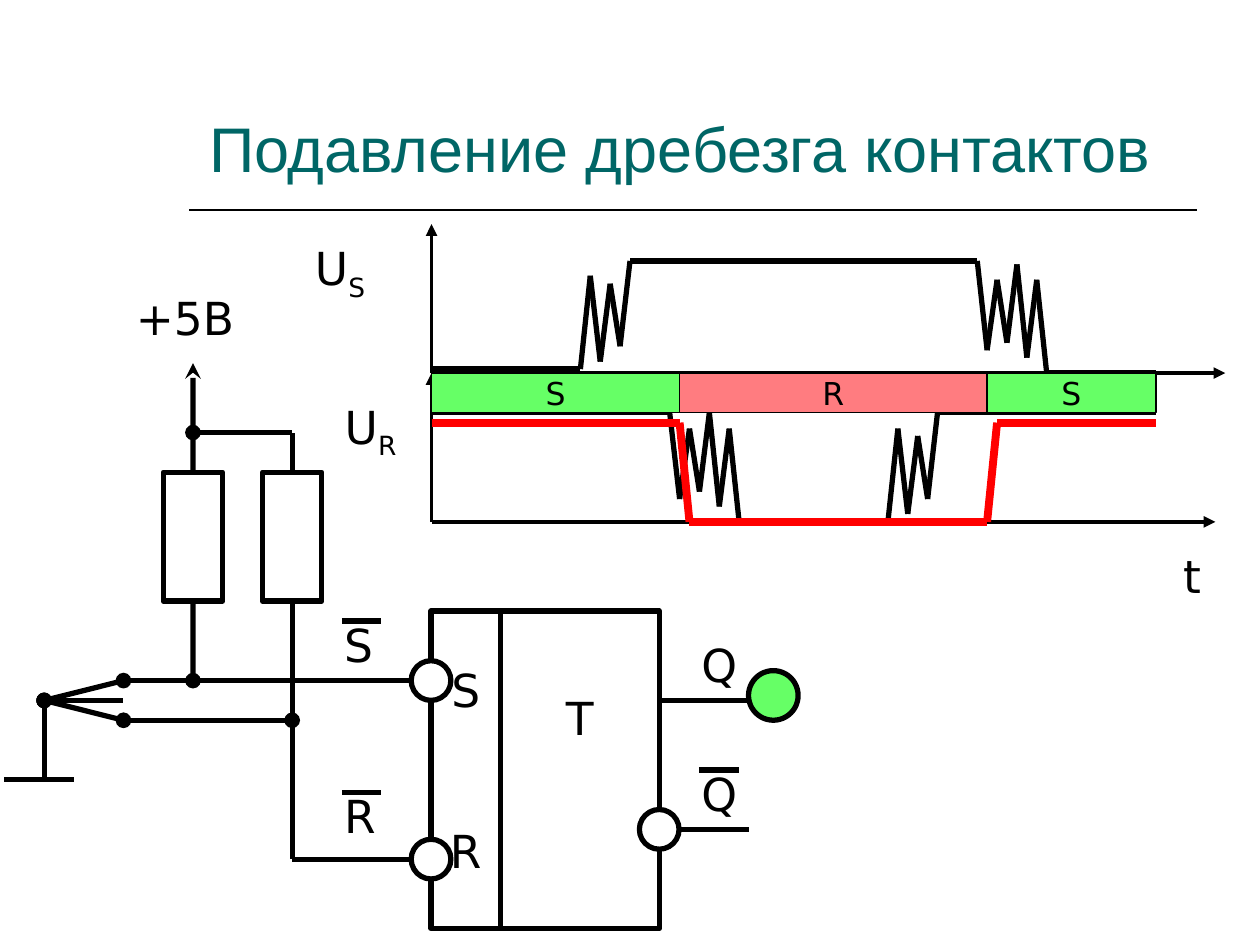
from dataclasses import dataclass
from itertools import pairwise

from lxml.etree import SubElement
from pptx import Presentation
from pptx.dml.color import RGBColor
from pptx.enum.shapes import MSO_CONNECTOR, MSO_SHAPE
from pptx.enum.text import MSO_ANCHOR, PP_ALIGN
from pptx.oxml.ns import qn
from pptx.util import Cm, Pt


@dataclass(frozen=True)
class Theme:
    ink: RGBColor = RGBColor(0x00, 0x00, 0x00)
    paper: RGBColor = RGBColor(0xFF, 0xFF, 0xFF)
    title: RGBColor = RGBColor(0x00, 0x66, 0x66)
    set_state: RGBColor = RGBColor(0x66, 0xFF, 0x66)
    reset_state: RGBColor = RGBColor(0xFF, 0x7C, 0x80)
    output: RGBColor = RGBColor(0xFF, 0x00, 0x00)
    title_font: str = "Arial"
    label_font: str = "DejaVu Sans"
    title_size: float = 36
    label_size: float = 26
    band_size: float = 18
    thin: float = 1
    axis: float = 2.25
    wire: float = 3
    bold: float = 4.5


@dataclass(frozen=True)
class Box:
    left: float
    top: float
    width: float
    height: float

    def point(self, x, y):
        return Cm(self.left + x), Cm(self.top + y)


THEME = Theme()


def style_text(para, size, font=THEME.label_font, colour=THEME.ink):
    para.font.size = Pt(size)
    para.font.name = font
    para.font.color.rgb = colour


def draw_line(page, box, start, end, weight=THEME.wire, colour=THEME.ink, head=None, tail=None):
    line = page.shapes.add_connector(
        MSO_CONNECTOR.STRAIGHT, *box.point(*start), *box.point(*end))
    line.line.color.rgb = colour
    line.line.width = Pt(weight)
    properties = line._element.spPr
    outline = properties.find(qn("a:ln"))
    for tag, kind in (("a:headEnd", head), ("a:tailEnd", tail)):
        if kind:
            SubElement(outline, qn(tag), type=kind)
    SubElement(properties, qn("a:effectLst"))
    return line


def draw_trace(page, box, points, **style):
    for start, end in pairwise(points):
        draw_line(page, box, start, end, **style)


def draw_shape(page, box, kind, left, top, width, height, fill=THEME.paper, weight=THEME.wire):
    shape = page.shapes.add_shape(kind, *box.point(left, top), Cm(width), Cm(height))
    shape.shadow.inherit = False
    shape.fill.solid()
    shape.fill.fore_color.rgb = fill
    shape.line.color.rgb = THEME.ink
    shape.line.width = Pt(weight)
    return shape


def draw_circle(page, box, x, y, diameter, fill=THEME.paper):
    radius = diameter / 2
    draw_shape(page, box, MSO_SHAPE.OVAL, x - radius, y - radius, diameter, diameter, fill)


def write_centred(shape, lines, size, gap=0):
    frame = shape.text_frame
    frame.word_wrap = False
    frame.vertical_anchor = MSO_ANCHOR.MIDDLE
    for index, text in enumerate(lines):
        para = frame.add_paragraph() if index else frame.paragraphs[0]
        para.text = text
        para.alignment = PP_ALIGN.CENTER
        if index:
            para.space_before = Pt(gap)
        style_text(para, size)


def draw_label(page, box, x, y, text, subscript="", overbar=False, width=1.8):
    frame = page.shapes.add_textbox(*box.point(x, y), Cm(width), Cm(1.36)).text_frame
    frame.word_wrap = True
    para = frame.paragraphs[0]
    para.text = text
    style_text(para, THEME.label_size)
    if subscript:
        span = para.add_run()
        span.text = subscript
        span._r.get_or_add_rPr().set("baseline", "-25000")
    if overbar:
        draw_line(page, box, (x + 0.2, y + 0.2), (x + 1, y + 0.2))


def draw_title(page, box, text):
    title = page.shapes.title
    title.left, title.top = box.point(0.15, 0)
    title.width, title.height = Cm(box.width - 0.3), Cm(2.87)
    frame = title.text_frame
    frame.word_wrap = True
    frame.vertical_anchor = MSO_ANCHOR.BOTTOM
    para = frame.paragraphs[0]
    para.text = text
    para.alignment = PP_ALIGN.LEFT
    style_text(para, THEME.title_size, THEME.title_font, THEME.title)
    draw_line(page, box, (0, box.height), (box.width, box.height), THEME.thin)


def draw_circuit(page, box):
    left_resistor, right_resistor = [
        draw_shape(page, box, MSO_SHAPE.RECTANGLE, x - 0.6, 3.8, 1.2, 2.6) for x in (3.8, 5.8)]
    draw_line(page, box, (3.8, 3.8), (3.8, 1.6), tail="stealth").begin_connect(left_resistor, 0)
    draw_line(page, box, (3.8, 6.4), (3.8, 8)).begin_connect(left_resistor, 2)
    draw_line(page, box, (5.8, 3.8), (5.8, 3)).begin_connect(right_resistor, 0)
    draw_line(page, box, (5.8, 6.4), (5.8, 8.8)).begin_connect(right_resistor, 2)

    pivot = (0.8, 8.4)
    for contact in ((2.4, 8), (2.4, 8.4), (2.4, 8.8), (0.8, 10)):
        draw_line(page, box, pivot, contact, head="oval")
    for start, end in (
        ((3.8, 3), (5.8, 3)),
        ((2.4, 8), (3.8, 8)),
        ((3.8, 8), (8.6, 8)),
        ((2.4, 8.8), (5.8, 8.8)),
        ((5.8, 8.8), (5.8, 11.6)),
    ):
        draw_line(page, box, start, end, head="oval")
    draw_line(page, box, (0, 10), (1.4, 10))
    draw_line(page, box, (5.8, 11.6), (8.6, 11.6))

    inputs = draw_shape(page, box, MSO_SHAPE.RECTANGLE, 8.6, 6.6, 1.4, 6.4)
    write_centred(inputs, ("S", "R"), THEME.label_size, gap=60.5)
    body = draw_shape(page, box, MSO_SHAPE.RECTANGLE, 10, 6.6, 3.2, 6.4)
    write_centred(body, ("T",), THEME.label_size)
    body.text_frame.vertical_anchor = MSO_ANCHOR.TOP
    body.text_frame.margin_top = Cm(1.6)

    draw_line(page, box, (13.2, 8.4), (15, 8.4))
    draw_line(page, box, (13.2, 11), (15, 11))
    for x, y in ((8.6, 8), (8.6, 11.6), (13.2, 11)):
        draw_circle(page, box, x, y, 0.8)
    draw_circle(page, box, 15.5, 8.3, 1, THEME.set_state)

    draw_label(page, box, 2.4, 0, "+5В", width=3)
    draw_label(page, box, 13.8, 7, "Q")
    for x, y, text in ((6.6, 6.6, "S"), (6.6, 10.05, "R"), (13.8, 9.6, "Q")):
        draw_label(page, box, x, y, text, overbar=True)


def draw_timing(page, box):
    origin, finish = 2.6, 17.2
    for base, top, axis_end in ((3, 0, 18.6), (6, 3, 18.4)):
        for end in ((origin, top), (axis_end, base)):
            draw_line(page, box, (origin, base), end, THEME.axis, tail="triangle")

    set_input = (
        (origin, 2.92), (5.6, 2.92), (5.8, 1.04), (6, 2.77), (6.2, 1.2), (6.4, 2.46),
        (6.6, 0.74), (13.6, 0.74), (13.8, 2.54), (14, 1.12), (14.2, 2.39), (14.4, 0.81),
        (14.6, 2.69), (14.8, 1.12), (15, 3), (finish, 3))
    reset_input = (
        (origin, 3.8), (7.4, 3.8), (7.6, 5.54), (7.8, 4.12), (8, 5.39), (8.2, 3.8),
        (8.4, 5.69), (8.6, 4.12), (8.8, 6), (11.8, 6), (12, 4.12), (12.2, 5.84),
        (12.4, 4.27), (12.6, 5.54), (12.8, 3.8), (finish, 3.8))
    output = ((origin, 4), (7.6, 4), (7.8, 6), (13.8, 6), (14, 4), (finish, 4))
    draw_trace(page, box, set_input)
    draw_trace(page, box, reset_input)

    fills = {"S": THEME.set_state, "R": THEME.reset_state}
    for state, (left, right) in zip("SRS", pairwise((origin, 7.6, 13.8, finish))):
        band = draw_shape(page, box, MSO_SHAPE.RECTANGLE, left, 3, right - left, 0.8,
                          fills[state], THEME.thin)
        write_centred(band, (state,), THEME.band_size)
    draw_trace(page, box, output, weight=THEME.bold, colour=THEME.output)

    draw_label(page, box, 0, 0.2, "U", subscript="S")
    draw_label(page, box, 0.6, 3.4, "U", subscript="R")
    draw_label(page, box, 17.5, 6.4, "t")


def main():
    deck = Presentation()
    deck.slide_width, deck.slide_height = Cm(25.4), Cm(19.05)
    page = deck.slides.add_slide(deck.slide_layouts[5])
    draw_title(page, Box(3.81, 0.99, 20.32, 3.25), "Подавление дребезга контактов")
    draw_circuit(page, Box(0.09, 5.72, 16, 13))
    draw_timing(page, Box(6.1, 4.52, 19.3, 7.76))
    deck.save("out.pptx")


if __name__ == "__main__":
    main()
